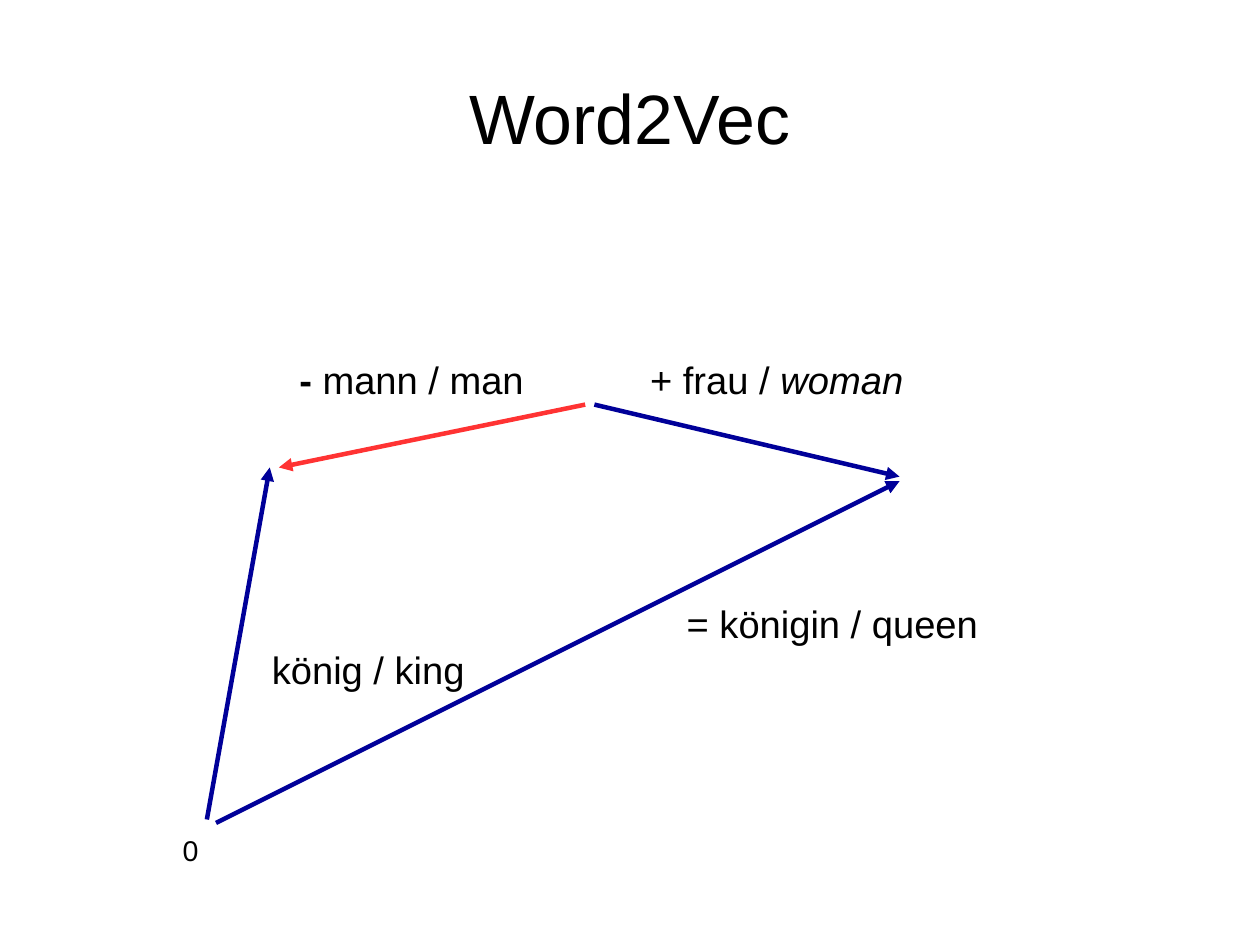
from dataclasses import dataclass
from lxml.etree import SubElement
from pptx import Presentation
from pptx.dml.color import RGBColor as RGB
from pptx.enum.shapes import MSO_CONNECTOR as CONN
from pptx.enum.text import MSO_ANCHOR as ANCHOR, PP_ALIGN as ALIGN
from pptx.oxml.ns import qn
from pptx.util import Inches, Pt


@dataclass
class Theme:
    font: str = "Arial"
    text: RGB = RGB(0, 0, 0)
    plus: RGB = RGB(0x00, 0x00, 0x99)
    minus: RGB = RGB(0xFF, 0x33, 0x33)
    title: int = 44
    label: int = 24
    origin: int = 18
    line: float = 2.83


theme = Theme()


def add_run(p, text, size, style=""):
    r = p.add_run()
    r.text = text
    r.font.name = theme.font
    r.font.size = Pt(size)
    r.font.color.rgb = theme.text
    r.font.bold = style == "bold"
    r.font.italic = style == "italic"


prs = Presentation()
prs.slide_width = Inches(28 / 2.54)
prs.slide_height = Inches(21 / 2.54)
s = prs.slides.add_slide(prs.slide_layouts[5])

title = s.shapes.title
title.left, title.top = Inches(0.55), Inches(0.33)
title.width, title.height = Inches(9.92), Inches(1.38)
tf = title.text_frame
tf.margin_left = tf.margin_right = tf.margin_top = tf.margin_bottom = 0
tf.vertical_anchor = ANCHOR.MIDDLE
tf.paragraphs[0].alignment = ALIGN.CENTER
add_run(tf.paragraphs[0], "Word2Vec", theme.title)

vectors = [
    ((1.81, 7.17), (2.36, 4.09), theme.plus),
    ((5.12, 3.54), (2.44, 4.09), theme.minus),
    ((5.2, 3.54), (7.87, 4.17), theme.plus),
    ((1.89, 7.2), (7.87, 4.21), theme.plus),
]
for start, end, color in vectors:
    arrow = s.shapes.add_connector(CONN.STRAIGHT, *map(Inches, start + end))
    arrow.line.color.rgb = color
    arrow.line.width = Pt(theme.line)
    SubElement(arrow.line._get_or_add_ln(), qn("a:tailEnd"), type="triangle")
    SubElement(arrow._element.spPr, qn("a:effectLst"))

labels = [
    ((2.28, 5.61, 3.15, 0.47), theme.label, [("könig / king", "")]),
    ((1.5, 7.24, 1.34, 0.38), theme.origin, [("0", "")]),
    ((2.52, 3.07, 3.15, 0.47), theme.label, [("-", "bold"), (" mann / man", "")]),
    ((5.59, 3.07, 3.23, 0.47), theme.label, [("+ frau / ", ""), ("woman", "italic")]),
    ((5.91, 5.2, 2.83, 0.47), theme.label, [("= königin / queen", "")]),
]
for box, size, runs in labels:
    tf = s.shapes.add_textbox(*map(Inches, box)).text_frame
    tf.word_wrap = True
    for text, style in runs:
        add_run(tf.paragraphs[0], text, size, style)

prs.save("out.pptx")
